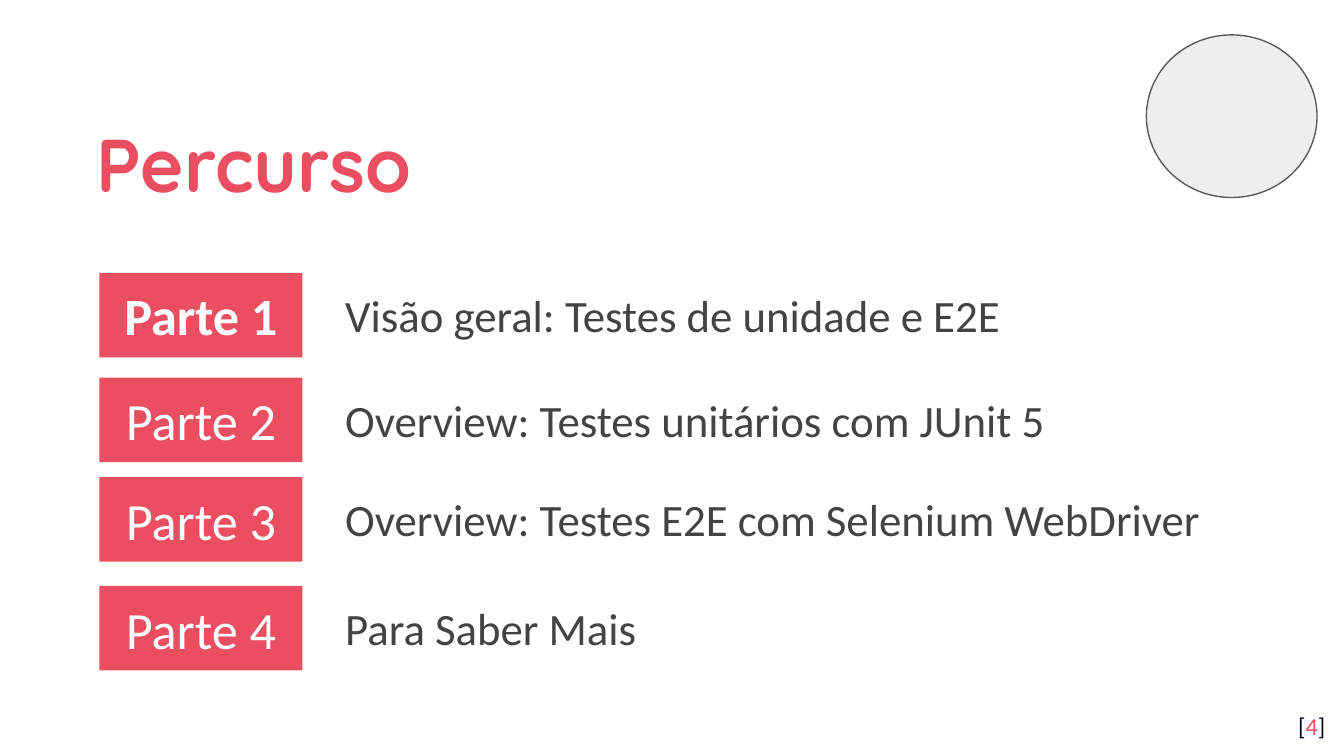
from pptx import Presentation
from pptx.dml.color import RGBColor
from pptx.enum import shapes, text
from pptx.util import Inches, Pt

COLORS = {
    "accent": "EA4E60",
    "white": "FFFFFF",
    "body": "434343",
    "navy": "040A24",
    "disc": "EEEEEE",
    "outline": "595959",
}
PARTS = [
    (2.03, "Visão geral: Testes de unidade e E2E"),
    (2.81, "Overview: Testes unitários com JUnit 5"),
    (3.55, "Overview: Testes E2E com Selenium WebDriver"),
    (4.36, "Para Saber Mais"),
]


class SlideBuilder:
    """Holds the style and the current slide, and adds each kind of element."""

    def __init__(self, slide, font="Calibri"):
        self.slide = slide
        self.font = font

    def color(self, name):
        return RGBColor.from_string(COLORS[name])

    def frame(self, shape, anchor, inset=0.1):
        frame = shape.text_frame
        frame.word_wrap = True
        frame.auto_size = text.MSO_AUTO_SIZE.NONE
        frame.vertical_anchor = anchor
        frame.margin_left = frame.margin_right = Inches(0.1)
        frame.margin_top = frame.margin_bottom = Inches(inset)
        return frame.paragraphs[0]

    def run(self, paragraph, words, size, color, bold=False, font=None):
        run = paragraph.add_run()
        run.text = words
        run.font.name = font or self.font
        run.font.size = Pt(size)
        run.font.bold = bold
        run.font.color.rgb = self.color(color)

    def title(self, words, left, top, width, height):
        shape = self.slide.shapes.title
        shape.left, shape.top = Inches(left), Inches(top)
        shape.width, shape.height = Inches(width), Inches(height)
        paragraph = self.frame(shape, text.MSO_ANCHOR.MIDDLE)
        paragraph.alignment = text.PP_ALIGN.LEFT
        paragraph.line_spacing = 1.15
        self.run(paragraph, words, 40, "accent", True, "Quicksand")

    def shape(self, kind, left, top, width, height, fill, line=None):
        shape = self.slide.shapes.add_shape(
            kind, Inches(left), Inches(top), Inches(width), Inches(height))
        shape.shadow.inherit = False
        shape.fill.solid()
        shape.fill.fore_color.rgb = self.color(fill)
        if line:
            shape.line.color.rgb = self.color(line)
            shape.line.width = Pt(0.75)
        else:
            shape.line.fill.background()
        return shape

    def label(self, words, top, bold):
        shape = self.shape(
            shapes.MSO_SHAPE.RECTANGLE, 0.74, top, 1.51, 0.63, "accent")
        paragraph = self.frame(shape, text.MSO_ANCHOR.MIDDLE)
        paragraph.alignment = text.PP_ALIGN.CENTER
        self.run(paragraph, words, 28, "white", bold)

    def textbox(self, left, top, width, height, inset):
        box = self.slide.shapes.add_textbox(
            Inches(left), Inches(top), Inches(width), Inches(height))
        return self.frame(box, text.MSO_ANCHOR.TOP, inset)

    def topic(self, words, top):
        paragraph = self.textbox(2.47, top, 6.75, 0.5, 0.05)
        properties = paragraph._p.get_or_add_pPr()
        properties.set("marL", str(Inches(0.5)))
        properties.set("indent", str(Inches(-0.5)))
        self.run(paragraph, words, 24, "body")

    def page_number(self, number):
        paragraph = self.textbox(9.36, 5.19, 0.6, 0.43, 0.1)
        paragraph.alignment = text.PP_ALIGN.RIGHT
        for words, color in (("[", "navy"), (number, "accent"), ("]", "navy")):
            self.run(paragraph, words, 13, color)


def main():
    presentation = Presentation()
    presentation.slide_width = Inches(10)
    presentation.slide_height = Inches(10 * 9 / 16)
    slide = presentation.slides.add_slide(presentation.slide_layouts[5])
    builder = SlideBuilder(slide)
    builder.title("Percurso", 0.62, 0.7, 8.1, 0.92)
    for number, (top, topic) in enumerate(PARTS, 1):
        builder.label(f"Parte {number}", top, bold=number == 1)
        builder.topic(topic, top + 0.06)
    builder.page_number("4")
    builder.shape(shapes.MSO_SHAPE.OVAL, 8.53, 0.26, 1.27, 1.21, "disc", "outline")
    presentation.save("out.pptx")


if __name__ == "__main__":
    main()
